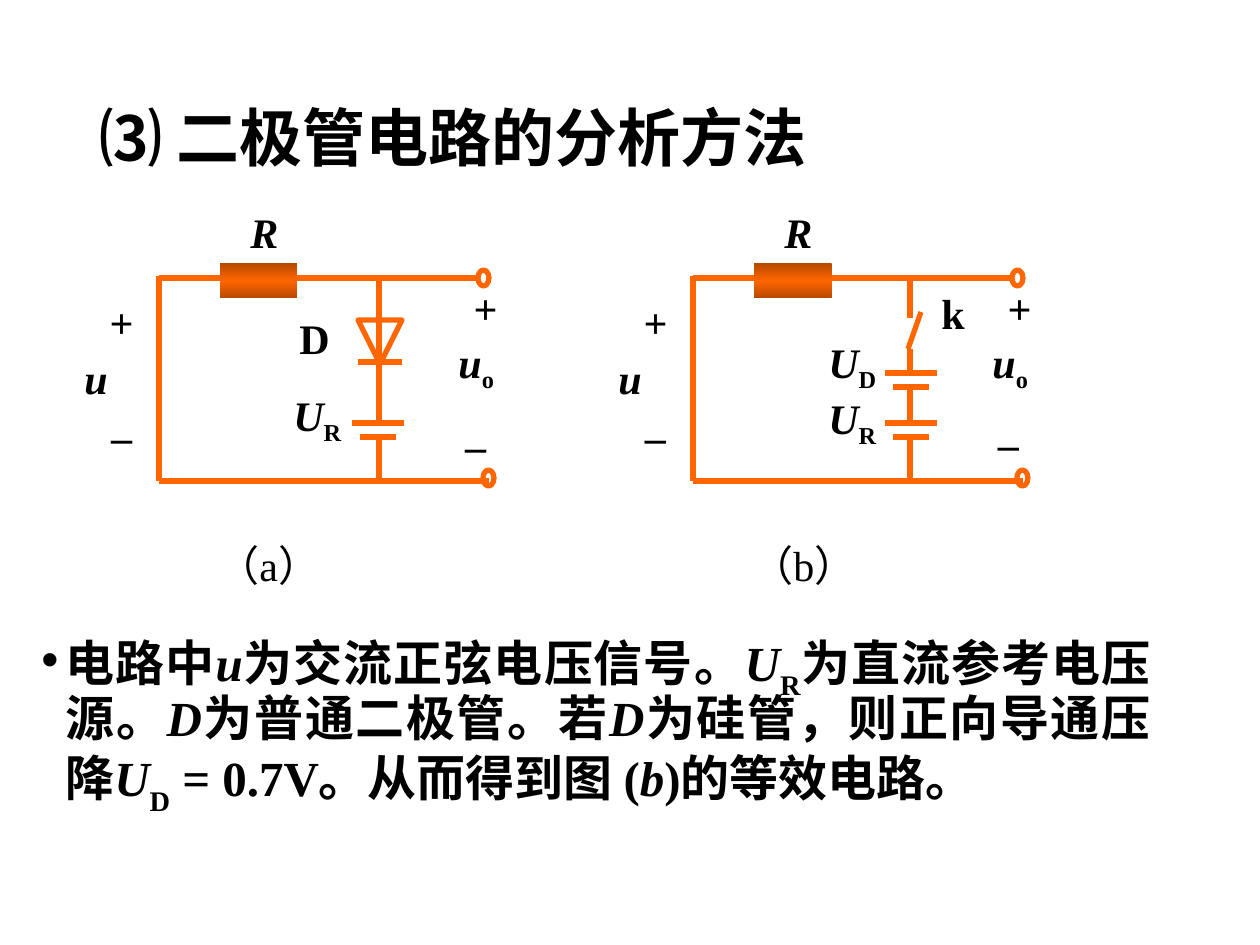
from copy import deepcopy
from pptx import Presentation
from pptx.dml.color import RGBColor
from pptx.enum.shapes import MSO_CONNECTOR, MSO_SHAPE
from pptx.enum.text import MSO_ANCHOR, MSO_AUTO_SIZE, PP_ALIGN
from pptx.oxml.ns import qn
from pptx.util import Pt

LINE = MSO_CONNECTOR.STRAIGHT
RECT, OVAL, TRI = MSO_SHAPE.RECTANGLE, MSO_SHAPE.OVAL, MSO_SHAPE.ISOSCELES_TRIANGLE
LEFT, MID, JUST = PP_ALIGN.LEFT, PP_ALIGN.CENTER, PP_ALIGN.JUSTIFY
PX = 914400 / 126


class Theme:
    ink = RGBColor(0, 0, 0)
    wire = RGBColor(0xFF, 0x66, 0x00)
    dark = RGBColor(0xB6, 0x49, 0x00)
    serif, sans = "Times New Roman", "Calibri"
    title, body, label = 36, 28, 24
    stroke = 3


# Content: runs are (text, style), with i = italic, s = subscript
TITLE = "⑶ 二极管电路的分析方法"
BODY = [
    ("电路中", ""), ("u", "i"), ("为交流正弦电压信号。", ""),
    ("U", "i"), ("R", "s"), ("为直流参考电压源。", ""),
    ("D", "i"), ("为普通二极管。若", ""), ("D", "i"),
    ("为硅管，则正向导通压降", ""), ("U", "i"), ("D", "s"),
    (" = 0.7V。从而得到图 (", ""), ("b", "i"), (")的等效电路。", ""),
]
UR = [("U", "i"), ("R", "s")]
UD = [("U", "i"), ("D", "s")]
UO = [("u", "i"), ("o", "s")]

# Parts in both circuits, placed as in (a)
SHIFT = 534
WIRES = [(159, 481, 489, 481), (297, 278, 476, 278),
         (159, 278, 228, 278), (159, 276, 159, 481)]
ENDS = [(478, 270), (483, 470)]
LABELS = [  # runs, left, top, width, wrap, align
    ([("R", "i")], 238, 200, 53, False, LEFT),
    (UO, 446, 330, 68, True, LEFT),
    ([("u", "i")], 72, 346, 49, False, LEFT),
    ([("+", "")], 92, 290, 59, True, MID),
    ([("+", "")], 456, 276, 59, True, MID),
    ([("–", "")], 92, 404, 59, True, MID),
]

# Parts that differ, placed on the slide
CIRCUITS = [
    {"name": "a", "cells": [(378, 423)], "diode": (358, 320, 44),
     "wires": [(379, 278, 379, 423), (379, 437, 379, 479)],
     "labels": [([("D", "")], 287, 306, 55, False, LEFT),
                (UR, 281, 383, 76, False, LEFT),
                ([("–", "")], 446, 413, 59, True, MID)]},
    {"name": "b", "cells": [(911, 373), (911, 423)], "diode": None,
     "wires": [(910, 281, 910, 318), (908, 349, 921, 312), (910, 349, 910, 373),
               (910, 388, 910, 423), (910, 436, 910, 484)],
     "labels": [([("k", "")], 929, 281, 49, False, LEFT),
                (UD, 816, 330, 76, False, LEFT),
                (UR, 816, 386, 76, False, LEFT),
                ([("–", "")], 979, 411, 59, True, MID)]},
]


def px(*vals):
    return [round(v * PX) for v in vals]


def set_font(font, size, bold=True):
    font.size, font.bold = Pt(size), bold
    font.color.rgb = Theme.ink


def add_runs(par, runs, size, drop):
    set_font(par.font, size)
    par.font.name = Theme.serif
    for text, style in runs:
        run = par.add_run()
        run.text = text
        if style == "i":
            run.font.italic = True
        elif style == "s":
            run.font._element.set("baseline", str(drop * 1000))


def add_box(shapes, left, top, width, height, wrap=True, grow=True):
    frame = shapes.add_textbox(*px(left, top, width, height)).text_frame
    frame.word_wrap = wrap
    if grow:
        frame.auto_size = MSO_AUTO_SIZE.SHAPE_TO_FIT_TEXT
    return frame


def add_label(shapes, runs, left, top, width, wrap, align):
    par = add_box(shapes, left, top, width, 63, wrap).paragraphs[0]
    par.alignment = align
    add_runs(par, runs, Theme.label, -25)


def add_wire(shapes, *ends):
    wire = shapes.add_connector(LINE, *px(*ends))
    wire.line.color.rgb = Theme.wire
    wire.line.width = Pt(Theme.stroke)
    props = wire._element.spPr
    props.append(props.makeelement(qn("a:effectLst"), {}))


def add_outline(shapes, kind, left, top, width, height):
    shape = shapes.add_shape(kind, *px(left, top, width, height))
    shape.shadow.inherit = False
    shape.fill.background()
    shape.line.color.rgb = Theme.wire
    shape.line.width = Pt(Theme.stroke)
    return shape


def add_cell(shapes, mid, top):
    for half, y in ((26, top), (18, top + 14)):
        add_wire(shapes, mid - half, y, mid + half, y)


def add_diode(shapes, left, top, side):
    add_outline(shapes, TRI, left, top, side, side).rotation = 180
    add_wire(shapes, left, top + 42, left + side, top + 42)


def add_resistor(shapes, left, top):
    shape = shapes.add_shape(RECT, *px(left, top, 35, 78))
    shape.rotation = 90
    shape.shadow.inherit = False
    shape.line.fill.background()
    shape.fill.gradient()
    shape.fill.gradient_angle = 0
    first, last = shape.fill.gradient_stops
    first.color.rgb = last.color.rgb = Theme.dark
    first.position, last.position = 0, 1
    # Third stop in the middle
    stops = shape._element.spPr.find(qn("a:gradFill")).find(qn("a:gsLst"))
    stops.insert(1, deepcopy(stops[0]))
    centre = shape.fill.gradient_stops[1]
    centre.position, centre.color.rgb = 0.5, Theme.wire


def add_caption(shapes, name, left, top):
    par = add_box(shapes, left, top, 160, 64).paragraphs[0]
    set_font(par.font, Theme.label, False)
    for text, face in (("（", Theme.sans), (name, Theme.serif), ("）", Theme.sans)):
        run = par.add_run()
        run.text, run.font.name = text, face


def add_circuit(shapes, part, dx):
    for x1, y1, x2, y2 in WIRES:
        add_wire(shapes, x1 + dx, y1, x2 + dx, y2)
    for ends in part["wires"]:
        add_wire(shapes, *ends)
    add_resistor(shapes, 241 + dx, 242)
    for x, y in ENDS:
        add_outline(shapes, OVAL, x + dx, y, 11, 16)
    for cell in part["cells"]:
        add_cell(shapes, *cell)
    if part["diode"]:
        add_diode(shapes, *part["diode"])
    for runs, left, *rest in LABELS:
        add_label(shapes, runs, left + dx, *rest)
    for label in part["labels"]:
        add_label(shapes, *label)
    add_caption(shapes, part["name"], 205 + dx, 533)


def main():
    prs = Presentation()
    prs.slide_width, prs.slide_height = px(1260, 945)
    slide = prs.slides.add_slide(prs.slide_layouts[5])

    # Title
    title = slide.shapes.title
    title.left, title.top, title.width, title.height = px(87, 50, 1086, 183)
    title.text_frame.vertical_anchor = MSO_ANCHOR.MIDDLE
    par = title.text_frame.paragraphs[0]
    par.alignment, par.line_spacing = LEFT, 0.9
    add_runs(par, [(TITLE, "")], Theme.title, 0)

    # Explanation with a bullet
    par = add_box(slide.shapes, 29, 626, 1134, 319, grow=False).paragraphs[0]
    par.alignment, par.line_spacing = JUST, 0.9
    props = par._p.get_or_add_pPr()
    indent, = px(24)
    props.set("marL", str(indent))
    props.set("indent", str(-indent))
    props.append(props.makeelement(qn("a:buFont"), {"typeface": "Arial"}))
    props.append(props.makeelement(qn("a:buChar"), {"char": "•"}))
    add_runs(par, BODY, Theme.body, -30)

    # Circuits side by side
    for num, part in enumerate(CIRCUITS):
        add_circuit(slide.shapes.add_group_shape().shapes, part, num * SHIFT)

    prs.save("out.pptx")


if __name__ == "__main__":
    main()
